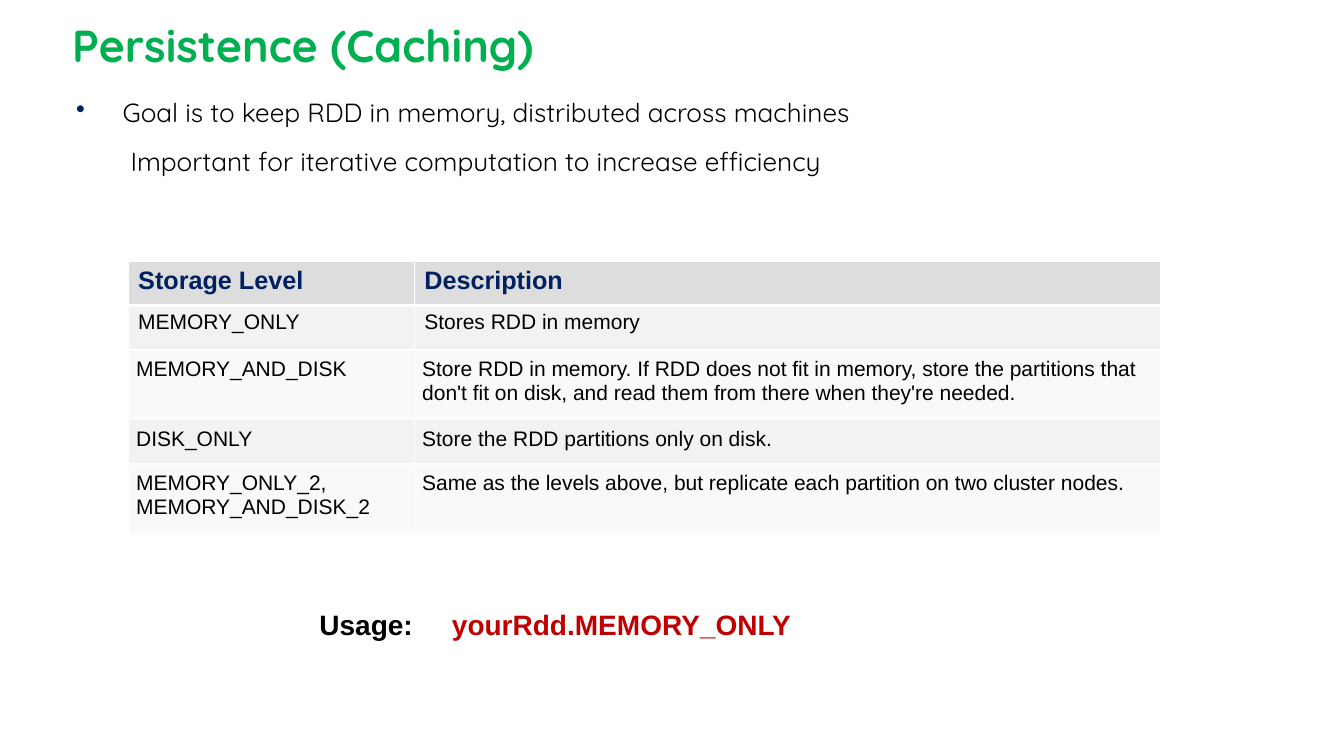
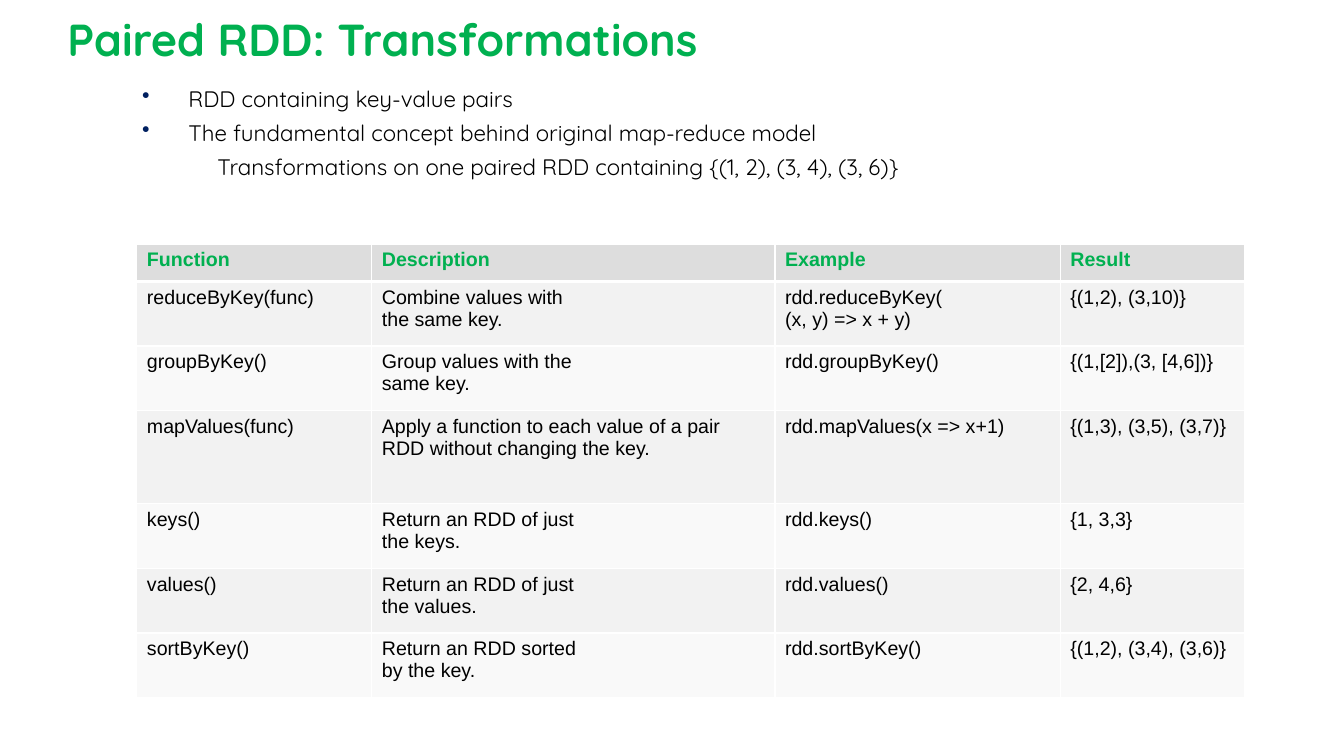
"""Build two slides on RDD persistence and paired RDD transformations."""
from dataclasses import dataclass

from pptx import Presentation
from pptx.dml.color import RGBColor as Rgb
from pptx.enum.text import MSO_ANCHOR as Anchor
from pptx.oxml.ns import qn
from pptx.util import Cm, Pt
from lxml.etree import SubElement as Sub


@dataclass(frozen=True)
class Theme:
    """Hold the colours, fonts and type sizes of the deck."""
    green: str = "00B050"
    navy: str = "002060"
    red: str = "C00000"
    black: str = "000000"
    white: str = "FFFFFF"
    header_fill: str = "DDDDDD"
    row_fills: tuple = ("F2F2F2", "F9F9F9")
    display: str = "Quicksand"
    plain: str = "Arial"
    title_size: float = 32
    usage_size: float = 20
    rule: float = 1
    header_rule: float = 3


THEME = Theme()
BULLET = {"left": 1.27, "hang": -1.17, "bullet": True}


def apply_format(target, values):
    """Set each named attribute of the target."""
    for name, value in values.items():
        setattr(target, name, value)


def style_font(font, face, size, color, bold=False):
    """Give a font its face, size, colour and weight."""
    apply_format(font, {"name": face, "size": Pt(size), "bold": bold})
    font.color.rgb = Rgb.from_string(color)


def add_frame(slide, box, inset=0.25, anchor=Anchor.TOP):
    """Add a wrapping text box and return its text frame."""
    frame = slide.shapes.add_textbox(*map(Cm, box)).text_frame
    margins = {f"margin_{side}": Cm(inset) for side in ("left", "right", "top", "bottom")}
    apply_format(frame, {"word_wrap": True, "vertical_anchor": anchor, **margins})
    return frame


def add_run(paragraph, text, *style, **options):
    """Append a styled run to a paragraph."""
    run = paragraph.add_run()
    run.text = text
    style_font(run.font, *style, **options)


def add_title(slide, text, left, top):
    """Add the green slide title."""
    frame = add_frame(slide, (left, top, 27.43, 1.5), anchor=Anchor.BOTTOM)
    add_run(frame.paragraphs[0], text, THEME.display, THEME.title_size, THEME.green, bold=True)


def indent(paragraph, left, hang=0, bullet=False):
    """Set a paragraph's indents and its navy bullet."""
    props = paragraph._p.get_or_add_pPr()
    props.set("marL", str(Cm(left)))
    props.set("indent", str(Cm(hang)))
    if bullet:
        Sub(Sub(props, qn("a:buClr")), qn("a:srgbClr"), val=THEME.navy)
        Sub(props, qn("a:buChar"), char="•")


def add_points(slide, box, size, spacing, points):
    """Add body lines given as text, space before and indents."""
    frame = add_frame(slide, box)
    for index, (text, before, indents) in enumerate(points):
        point = frame.add_paragraph() if index else frame.paragraphs[0]
        apply_format(point, {"line_spacing": spacing, "space_before": Pt(before)})
        indent(point, **indents)
        add_run(point, text, THEME.display, size, THEME.black)


def add_usage(slide, box, label, code, tab):
    """Add a bold label with its code at a tab stop."""
    usage = add_frame(slide, box, inset=0.25).paragraphs[0]
    stops = Sub(usage._p.get_or_add_pPr(), qn("a:tabLst"))
    Sub(stops, qn("a:tab"), pos=str(Cm(tab)), algn="l")
    for text, color in ((f"{label}\t", THEME.black), (code, THEME.red)):
        add_run(usage, text, THEME.plain, THEME.usage_size, color, bold=True)


def rule_cell(cell, top, bottom):
    """Draw white rules around a cell."""
    props = cell._tc.get_or_add_tcPr()
    for side, width in zip("LRTB", (THEME.rule, THEME.rule, top, bottom)):
        line = Sub(props, qn(f"a:ln{side}"), w=str(Pt(width)))
        Sub(Sub(line, qn("a:solidFill")), qn("a:srgbClr"), val=THEME.white)


def fill_cell(cell, text, row, header_style, body_style):
    """Fill, rule and write one table cell."""
    header = row == 0
    rule_cell(cell, THEME.header_rule if row == 1 else THEME.rule,
              THEME.header_rule if header else THEME.rule)
    cell.fill.solid()
    fill = THEME.header_fill if header else THEME.row_fills[(row - 1) % 2]
    cell.fill.fore_color.rgb = Rgb.from_string(fill)
    cell.text_frame.text = text
    size, color = header_style if header else body_style
    for paragraph in cell.text_frame.paragraphs:
        style_font(paragraph.runs[0].font, THEME.plain, size, color, bold=header)


def add_grid(slide, corner, widths, heights, rows, header_style, body_style):
    """Add a table with a grey header and alternating rows."""
    size = (sum(widths), sum(heights))
    table = slide.shapes.add_table(len(rows), len(widths), *map(Cm, corner + size)).table
    for column, width in zip(table.columns, widths):
        column.width = Cm(width)
    for index, (height, texts) in enumerate(zip(heights, rows)):
        table.rows[index].height = Cm(height)
        for cell, text in zip(table.rows[index].cells, texts):
            fill_cell(cell, text, index, header_style, body_style)
    return table


def build_persistence(slide):
    """Build the slide on storage levels."""
    add_title(slide, "Persistence (Caching)", 1.57, 0.56)
    add_points(slide, (1.57, 2.34, 29.08, 2.8), 18.7, 0.8, [
        ("Goal is to keep RDD in memory, distributed across machines", 6, BULLET),
        ("Important for iterative computation to increase efficiency", 17, {"left": 1.47}),
    ])
    levels = add_grid(slide, (3.23, 6.58), (7.21, 18.8), (1.12, 1.12, 1.75, 1.12, 1.75), [
        ("Storage Level", "Description"),
        ("MEMORY_ONLY", "Stores RDD in memory"),
        ("MEMORY_AND_DISK",
         "Store RDD in memory. If RDD does not fit in memory, store the partitions that "
         "don't fit on disk, and read them from there when they're needed."),
        ("DISK_ONLY", "Store the RDD partitions only on disk."),
        ("MEMORY_ONLY_2, MEMORY_AND_DISK_2",
         "Same as the levels above, but replicate each partition on two cluster nodes."),
    ], (18, THEME.navy), (15, THEME.black))
    margins = {f"margin_{side}": Cm(0.2) for side in ("left", "right", "top", "bottom")}
    for row in list(levels.rows)[2:]:
        for cell in row.cells:
            apply_format(cell, margins)
    add_usage(slide, (7.8, 15.06, 13, 1.12), "Usage:", "yourRdd.MEMORY_ONLY", 3.34)


def build_transformations(slide):
    """Build the slide on paired RDD functions."""
    add_title(slide, "Paired RDD: Transformations", 1.45, 0.41)
    add_points(slide, (3.23, 1.9, 28.4, 3.4), 16, 1.0, [
        ("RDD containing key-value pairs", 5, BULLET),
        ("The fundamental concept behind original map-reduce model", 5, BULLET),
        ("Transformations on one paired RDD containing {(1, 2), (3, 4), (3, 6)}", 5,
         {"left": 2}),
    ])
    heights = (0.94, 1.63, 1.63, 2.34, 1.63, 1.63, 1.63)
    add_grid(slide, (3.45, 6.15), (5.92, 10.16, 7.19, 4.65), heights, [
        ("Function", "Description", "Example", "Result"),
        ("reduceByKey(func)", "Combine values with\nthe same key.",
         "rdd.reduceByKey(\n(x, y) => x + y)", "{(1,2), (3,10)}"),
        ("groupByKey()", "Group values with the\nsame key.",
         "rdd.groupByKey()", "{(1,[2]),(3, [4,6])}"),
        ("mapValues(func)",
         "Apply a function to each value of a pair RDD without changing the key.",
         "rdd.mapValues(x => x+1)", "{(1,3), (3,5), (3,7)}"),
        ("keys()", "Return an RDD of just\nthe keys.", "rdd.keys()", "{1, 3,3}"),
        ("values()", "Return an RDD of just\nthe values.", "rdd.values()", "{2, 4,6}"),
        ("sortByKey()", "Return an RDD sorted\nby the key.",
         "rdd.sortByKey()", "{(1,2), (3,4), (3,6)}"),
    ], (14, THEME.green), (14, THEME.black))


def main():
    """Build and save the deck."""
    deck = Presentation()
    apply_format(deck, {"slide_width": Cm(33.87), "slide_height": Cm(19.05)})
    for build in (build_persistence, build_transformations):
        build(deck.slides.add_slide(deck.slide_layouts[6]))
    deck.save("out.pptx")


if __name__ == "__main__":
    main()
